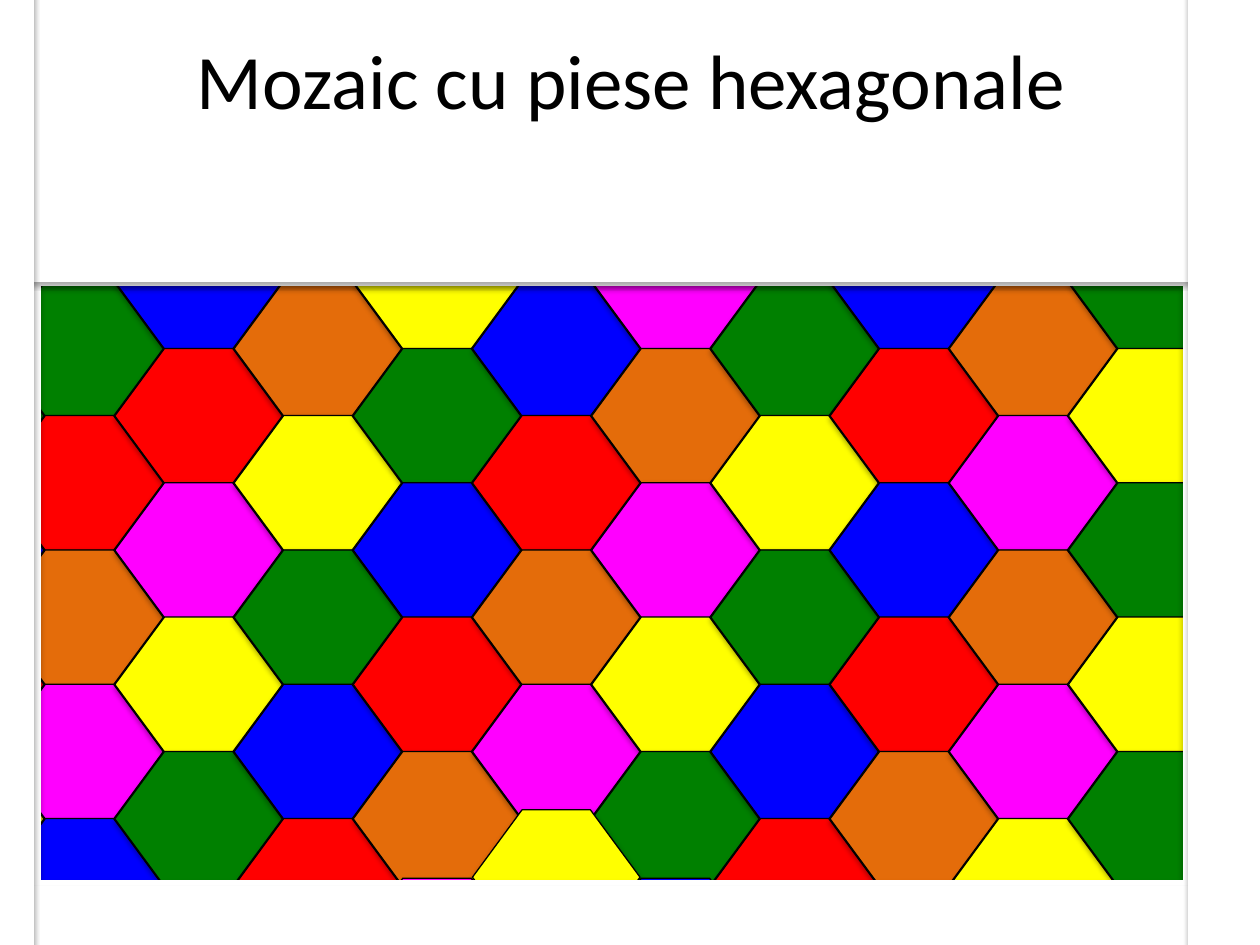
from lxml import etree
from pptx import Presentation
from pptx.dml.color import RGBColor
from pptx.enum.shapes import MSO_SHAPE
from pptx.enum.text import MSO_ANCHOR, PP_ALIGN
from pptx.oxml.ns import qn
from pptx.util import Inches, Pt

HEX, RECT = MSO_SHAPE.HEXAGON, MSO_SHAPE.RECTANGLE

# Content
TITLE = "Mozaic cu piese hexagonale"
COLORS = {"G": "008000", "B": "0000FF", "R": "FF0000",
          "Y": "FFFF00", "M": "FF00FF", "O": "E46C0A"}
# One string per column: first half row, then tile colours going down
COLUMNS = [(2, "GBRY"), (1, "GROMB"), (0, "BRMYG"), (1, "OYGBR"),
           (0, "YGBROM"), (1, "BROMY"), (0, "MOMYGB"), (1, "GYGBR"),
           (0, "BRBRO"), (1, "OMOMY"), (0, "GYGYG")]
# Tiles (column, place) that sit a little above the grid
RAISED = {(4, 5): 0.06, (6, 5): 0.06, (5, 4): 0.07}

# Grid, in inches
LEFT, TOP = -0.98, 1.7
TILE_W, TILE_H = 1.33, 1.07
STEP_X, STEP_Y = 0.946, 0.533

# Frame and white borders round the mosaic: left, top, width, height, turn
FRAME = (0.28, 2.23, 9.15, 4.8)
UPPER = (-1.92, -0.29, 14.36, 2.52, 0)
BORDERS = [(-1.75, 7.04, 14.36, 2.52, 0),
           (3.51, 2.04, 14.36, 2.52, 90),
           (-8.79, 1.42, 14.36, 3.75, 90)]


def rgb(code):
    return RGBColor.from_string(code)


def add_shadow(shape):
    shape.shadow.inherit = False
    effects = shape.element.spPr.find(qn("a:effectLst"))
    outer = etree.SubElement(effects, qn("a:outerShdw"), blurRad="40000",
                             dist="23000", dir="5400000", rotWithShape="0")
    color = etree.SubElement(outer, qn("a:srgbClr"), val="000000")
    etree.SubElement(color, qn("a:alpha"), val="35000")


def add_shape(kind, box, fill, line, width=0.75):
    shape = slide.shapes.add_shape(kind, *[Inches(v) for v in box])
    if fill:
        shape.fill.solid()
        shape.fill.fore_color.rgb = rgb(fill)
    else:
        shape.fill.background()
    shape.line.color.rgb = rgb(line)
    shape.line.width = Pt(width)
    add_shadow(shape)
    return shape


def add_tile(col, place):
    start, colors = COLUMNS[col]
    top = TOP + (start + 2 * place) * STEP_Y - RAISED.get((col, place), 0)
    box = (LEFT + col * STEP_X, top, TILE_W, TILE_H)
    tile = add_shape(HEX, box, COLORS[colors[place]], "000000")
    tile.adjustments[0] = 0.368


def add_border(left, top, width, height, turn):
    border = add_shape(RECT, (left, top, width, height), "FFFFFF", "FFFFFF")
    border.rotation = turn


prs = Presentation()
prs.slide_width, prs.slide_height = Inches(10), Inches(7.5)
slide = prs.slides.add_slide(prs.slide_layouts[5])

# Mosaic, with the raised tiles on top
for col, (start, colors) in enumerate(COLUMNS):
    for place in range(len(colors)):
        if (col, place) not in RAISED:
            add_tile(col, place)
for col, place in RAISED:
    add_tile(col, place)

# Frame and upper border
add_shape(RECT, FRAME, None, "FFFFFF", 6)
add_border(*UPPER)

# Title, brought in front of the upper border
title = slide.shapes.title
title.left, title.top = Inches(0.51), 0
title.width, title.height = Inches(9), Inches(1.25)
frame = title.text_frame
frame.text = TITLE
frame.vertical_anchor = MSO_ANCHOR.MIDDLE
para = frame.paragraphs[0]
para.alignment = PP_ALIGN.CENTER
font = para.runs[0].font
font.name, font.size = "Calibri", Pt(44)
font.color.rgb = rgb("000000")
title.element.getparent().append(title.element)

# Remaining borders
for border in BORDERS:
    add_border(*border)

prs.save("out.pptx")
